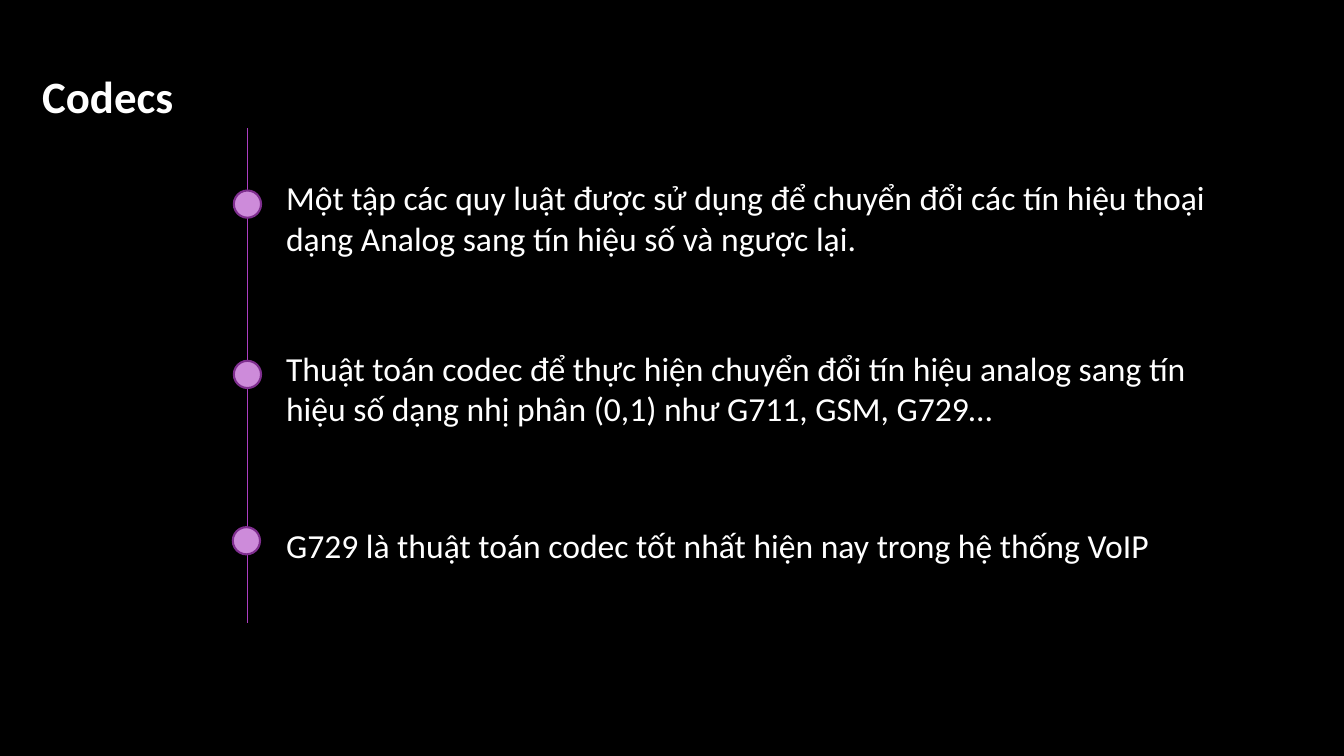
import pptx
import pptx.util
import pptx.dml.color
import pptx.enum.shapes
import pptx.enum.text
import lxml.etree

COLS, ROWS = 160, 90
CELL = pptx.util.Inches(1) / 12


def cells(*counts):
    return [round(count * CELL) for count in counts]


def color(code):
    return pptx.dml.color.RGBColor.from_string(code)


class Deck:
    style = {"name": "Calibri", "size": pptx.util.Pt(24), "bold": False}
    ink, rail, fill, rim = "FFFFFF", "AC3EC1", "CD8BDA", "7F2E8F"

    def __init__(self):
        self.show = pptx.Presentation()
        self.show.slide_width, self.show.slide_height = cells(COLS, ROWS)
        self.slide = self.show.slides.add_slide(self.show.slide_layouts[6])
        back = self.slide.background.fill
        back.solid()
        back.fore_color.rgb = color("000000")

    def text(self, words, col, row, wide, high, **extra):
        box = self.slide.shapes.add_textbox(*cells(col, row, wide, high))
        frame = box.text_frame
        frame.word_wrap = True
        frame.auto_size = pptx.enum.text.MSO_AUTO_SIZE.SHAPE_TO_FIT_TEXT
        run = frame.paragraphs[0].add_run()
        run.text = words
        for key, value in {**self.style, **extra}.items():
            setattr(run.font, key, value)
        run.font.color.rgb = color(self.ink)

    def line(self, col, top, end):
        kind = pptx.enum.shapes.MSO_CONNECTOR.STRAIGHT
        rail = self.slide.shapes.add_connector(kind, *cells(col, top, col, end))
        rail.line.color.rgb = color(self.rail)
        rail.line.width = pptx.util.Pt(0.75)
        props = rail.element.spPr
        lxml.etree.SubElement(props, pptx.oxml.ns.qn("a:effectLst"))

    def dot(self, col, row, size=3.24):
        kind = pptx.enum.shapes.MSO_SHAPE.OVAL
        dot = self.slide.shapes.add_shape(kind, *cells(col, row, size, size))
        dot.shadow.inherit = False
        dot.fill.solid()
        dot.fill.fore_color.rgb = color(self.fill)
        dot.line.color.rgb = color(self.rim)
        dot.line.width = pptx.util.Pt(1.5)


POINTS = [
    ("Một tập các quy luật được sử dụng để chuyển đổi các tín hiệu thoại "
     "dạng Analog sang tín hiệu số và ngược lại.",
     (27.84, 22.68), (20.52, 113.76, 10.92)),
    ("Thuật toán codec để thực hiện chuyển đổi tín hiệu analog sang tín "
     "hiệu số dạng nhị phân (0,1) như G711, GSM, G729…",
     (27.84, 42.96), (40.8, 113.76, 10.92)),
    ("G729 là thuật toán codec tốt nhất hiện nay trong hệ thống VoIP",
     (27.72, 62.76), (61.92, 106.8, 6)),
]


def main():
    deck = Deck()
    deck.text("Codecs", 3.84, 7.56, 20.64, 7.68,
              size=pptx.util.Pt(32), bold=True)
    deck.line(29.52, 15.24, 74.16)
    for words, spot, place in POINTS:
        deck.dot(*spot)
        deck.text(words, 32.88, *place)
    deck.show.save("out.pptx")


if __name__ == "__main__":
    main()
